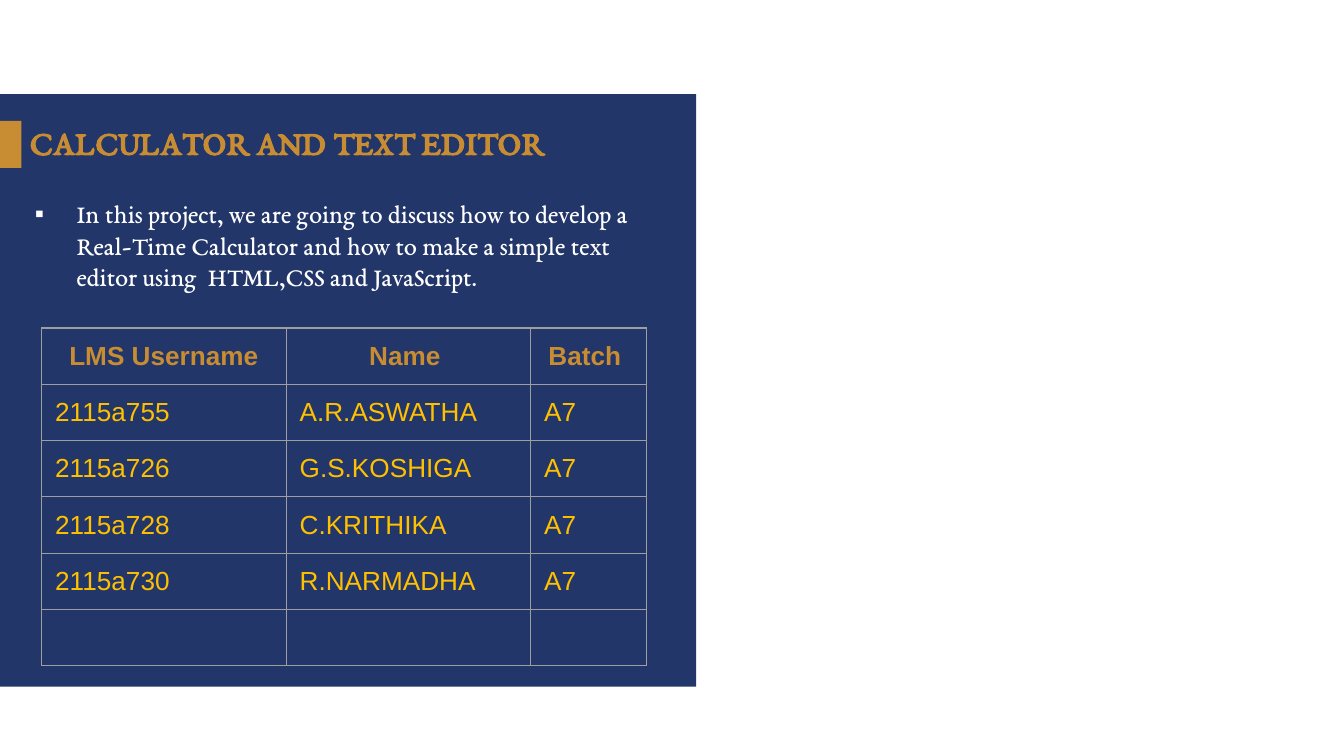
from lxml import etree
from pptx import Presentation
from pptx.dml.color import RGBColor
from pptx.enum import shapes, text
from pptx.oxml import ns
from pptx.util import Inches, Pt

NAVY = RGBColor(0x22, 0x36, 0x69)
GOLD = RGBColor(0xC8, 0x8C, 0x32)
AMBER = RGBColor(0xFF, 0xC0, 0x00)
WHITE = RGBColor(0xFF, 0xFF, 0xFF)
GREY = RGBColor(0x9E, 0x9E, 0x9E)

SERIF = "EB Garamond"
SANS = "Arial"

COLUMN_WIDTHS = (1.82, 1.82, 0.86)
ROW_HEIGHT = 0.37
MEMBERS = (
    ("LMS Username", "Name ", "Batch "),
    ("2115a755", "A.R.ASWATHA", "A7"),
    ("2115a726", "G.S.KOSHIGA", "A7"),
    ("2115a728", "C.KRITHIKA", "A7"),
    ("2115a730", "R.NARMADHA", "A7"),
    ("", "", ""),
)


def place(box, left, top, width, height):
    box.left, box.top = Inches(left), Inches(top)
    box.width, box.height = Inches(width), Inches(height)


def write(frame, words, *, size, face, color, bold=False,
          align=text.PP_ALIGN.LEFT):
    para = frame.paragraphs[0]
    para.text = words
    para.alignment = align
    para.space_before = Pt(0)
    para.line_spacing = 1.0
    para.font.size = Pt(size)
    para.font.name = face
    para.font.bold = bold
    para.font.color.rgb = color


def add_panel(page, color, *bounds):
    panel = page.shapes.add_shape(
        shapes.MSO_SHAPE.RECTANGLE, *(Inches(value) for value in bounds))
    panel.shadow.inherit = False
    panel.fill.solid()
    panel.fill.fore_color.rgb = color
    panel.line.fill.background()
    page.shapes.title._element.addprevious(panel._element)


def add_bullet(para, mark, color, indent):
    properties = para._p.get_or_add_pPr()
    properties.set("marL", str(Inches(indent)))
    properties.set("indent", str(-Inches(indent)))
    tint = etree.SubElement(properties, ns.qn("a:buClr"))
    etree.SubElement(tint, ns.qn("a:srgbClr"), val=str(color))
    etree.SubElement(properties, ns.qn("a:buFont"), typeface=SANS)
    etree.SubElement(properties, ns.qn("a:buChar"), char=mark)


def fill_title(page):
    title = page.shapes.title
    place(title, 0.12, 0.82, 9.88, 0.46)
    frame = title.text_frame
    frame.auto_size = text.MSO_AUTO_SIZE.NONE
    frame.vertical_anchor = text.MSO_ANCHOR.MIDDLE
    write(frame, "CALCULATOR AND TEXT EDITOR", size=18.3, face=SERIF,
          color=GOLD, bold=True)


def fill_body(page):
    body = page.placeholders[1]
    place(body, 0.16, 1.42, 4.97, 3.32)
    frame = body.text_frame
    frame.auto_size = text.MSO_AUTO_SIZE.NONE
    add_bullet(frame.paragraphs[0], "▪", WHITE, 0.31)
    write(frame,
          "In this project, we are going to discuss how to develop a "
          "Real-Time Calculator and how to make a simple text editor "
          "using  HTML,CSS and JavaScript.",
          size=14, face=SERIF, color=WHITE)


def set_borders(cell, color, width):
    properties = cell._tc.get_or_add_tcPr()
    for position, side in enumerate(("lnL", "lnR", "lnT", "lnB")):
        line = etree.Element(ns.qn(f"a:{side}"), w=str(Pt(width)))
        fill = etree.SubElement(line, ns.qn("a:solidFill"))
        etree.SubElement(fill, ns.qn("a:srgbClr"), val=str(color))
        properties.insert(position, line)


def add_member_table(page):
    table = page.shapes.add_table(
        len(MEMBERS), len(COLUMN_WIDTHS), Inches(0.31), Inches(2.44),
        Inches(sum(COLUMN_WIDTHS)), Inches(ROW_HEIGHT * len(MEMBERS))).table
    table.horz_banding = False
    for column, width in zip(table.columns, COLUMN_WIDTHS):
        column.width = Inches(width)
    for index, member in enumerate(MEMBERS):
        header = index == 0
        table.rows[index].height = Inches(ROW_HEIGHT)
        for cell, words in zip(table.rows[index].cells, member):
            cell.fill.background()
            cell.margin_left = cell.margin_right = Inches(0.1)
            cell.margin_top = cell.margin_bottom = Inches(0.1)
            set_borders(cell, GREY, 0.75)
            write(cell.text_frame, words, size=14, face=SANS,
                  color=GOLD if header else AMBER, bold=header,
                  align=text.PP_ALIGN.CENTER if header else text.PP_ALIGN.LEFT)


def main():
    deck = Presentation()
    deck.slide_width = Inches(10)
    deck.slide_height = deck.slide_width * 9 // 16
    page = deck.slides.add_slide(deck.slide_layouts[1])
    add_panel(page, NAVY, 0, 0.7, 5.18, 4.41)
    add_panel(page, GOLD, 0, 0.9, 0.16, 0.35)
    fill_title(page)
    fill_body(page)
    add_member_table(page)
    deck.save("out.pptx")


if __name__ == "__main__":
    main()
